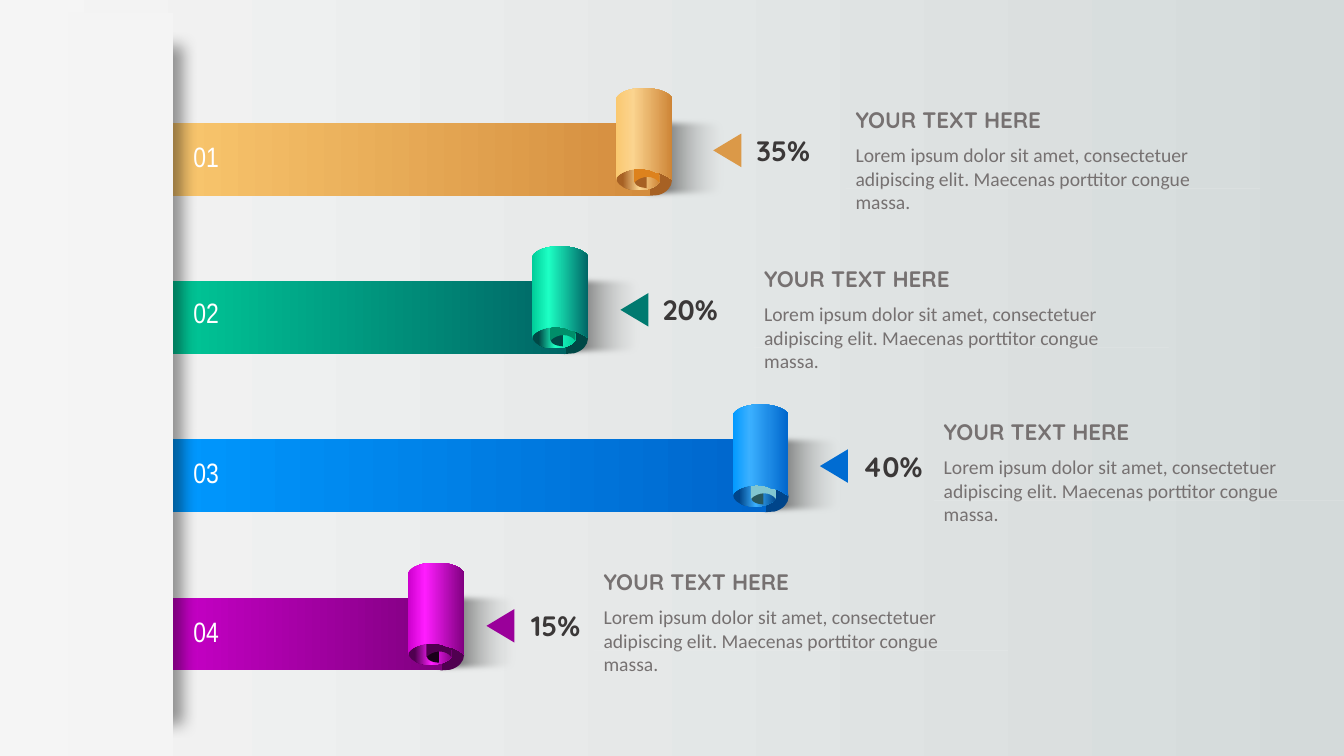
from dataclasses import dataclass

from lxml import etree
from pptx import Presentation
from pptx.dml.color import RGBColor
from pptx.enum import shapes, text
from pptx.oxml.ns import qn
from pptx.util import Pt

COLORS = {
    "back_light": "F5F5F5", "back_dark": "D4DADA", "panel": "F4F4F4",
    "white": "FFFFFF", "black": "000000", "shade": "E9EBEA",
    "percent": "3B3838", "copy": "767171", "rule": "F2F2F2",
}
BODY = ("Lorem ipsum dolor sit amet, consectetuer adipiscing elit. "
        "Maecenas porttitor congue massa.")
BAR_LEFT, ROLL_TOP, ROW_PITCH = 108.7, 62.9, 113

LIP = [(40, 66), (40, 70.5, 36, 75, 30, 76.5), (23, 77), (23, 54.5),
       (30, 55.5), (36, 57, 40, 61, 40, 66)]
CORE = [(13.5, 67), (13.5, 69, 16, 70.5, 18.5, 71), (22, 71.5), (22, 63),
        (18.5, 63.5), (16, 64, 13.5, 65.5, 13.5, 67)]
FOLD = [(13, 36.5), (14.5, 34, 18.25, 32.75, 22, 32.75),
        (25.75, 32.75, 29.5, 34, 31, 36.5), (31, 67.5),
        (29, 65, 26, 63.5, 22.5, 63.5), (19, 63.5, 15.5, 65, 13, 67.5)]
ROLL = [(20, 0), (28, 0, 36.5, 2, 40, 7), (40, 65.5),
        (37.5, 63.5, 34.5, 62, 31, 60.5), (28, 60), (24.5, 58.5),
        (22, 58, 20, 57.5, 17, 57.5), (9.5, 57.5, 2.5, 60.5, 0.5, 64),
        (0, 66), (0, 7), (3.5, 2, 11.5, 0, 20, 0)]


@dataclass
class Stop:
    position: int
    color: str
    alpha: int = 100


@dataclass
class Palette:
    light: str
    shine: str
    dark: str
    roll_dark: str
    lip: str
    core: str
    fold: str
    ellipse_end: str
    marker: str


@dataclass
class Row:
    number: str
    percent: str
    roll_left: float
    number_top: float
    marker: tuple[float, float]
    percent_left: float
    copy: tuple[float, float]
    palette: Palette


ROWS = [
    Row("01", "35%", 440, 96, (507.5, 97.4), 526, (604, 72.5),
        Palette("FAC86F", "FBD48F", "D48D3E", "CE8537", "A76124", "A76124",
                "DD821D", "CE8537", "DB9948")),
    Row("02", "20%", 380, 207.5, (441.2, 211.3), 459.5, (538.7, 186),
        Palette("00CC99", "1DFFC4", "006666", "006666", "004846", "004846",
                "008E69", "00CC99", "007A70")),
    Row("03", "40%", 523.3, 322, (583.7, 322.9), 604, (667, 295.2),
        Palette("0099FF", "3BB0FF", "0066CC", "0066CC", "00458A", "28585E",
                "81C6D1", "00458A", "006CD2")),
    Row("04", "15%", 291.5, 435.5, (345.5, 437), 363.5, (424, 402.5),
        Palette("CC00CC", "FF1DFF", "800080", "800080", "500050", "1A001A",
                "500050", "800080", "9A009A")),
]


def add_color(parent, color: str, alpha: int = 100) -> None:
    clr = etree.SubElement(parent, qn("a:srgbClr"), val=color)
    if alpha < 100:
        etree.SubElement(clr, qn("a:alpha"), val=str(alpha * 1000))


def set_gradient(fill, root, stops: list[Stop]) -> None:
    fill.gradient()
    fill.gradient_angle = 0
    gs_list = next(root.iter(qn("a:gsLst")))
    for gs in list(gs_list):
        gs_list.remove(gs)
    for stop in stops:
        gs = etree.SubElement(gs_list, qn("a:gs"), pos=str(stop.position * 1000))
        add_color(gs, stop.color, stop.alpha)


def finish(sp, paint: str | list[Stop]) -> None:
    sp.shadow.inherit = False
    sp.line.fill.background()
    if isinstance(paint, str):
        sp.fill.solid()
        sp.fill.fore_color.rgb = RGBColor.from_string(paint)
    else:
        set_gradient(sp.fill, sp.element, paint)


def add_preset(slide, kind, left: float, top: float, width: float,
               height: float, paint: str | list[Stop]):
    sp = slide.shapes.add_shape(kind, Pt(left), Pt(top), Pt(width), Pt(height))
    finish(sp, paint)
    return sp


def add_effect(sp, tag: str, **attributes: str):
    effects = next(sp.element.iter(qn("a:effectLst")))
    return etree.SubElement(effects, qn(tag), **attributes)


def add_outline(slide, outline: list[tuple], left: float, top: float,
                paint: str | list[Stop]) -> None:
    ends = [segment[-2:] for segment in outline]
    points = [(Pt(left + x), Pt(top + y)) for x, y in ends]
    builder = slide.shapes.build_freeform(*points[0])
    builder.add_line_segments(points[1:], close=True)
    sp = builder.convert_to_shape()
    min_x, min_y = (min(values) for values in zip(*ends))
    lines = list(sp.element.iter(qn("a:lnTo")))
    for line, segment in zip(lines, outline[1:]):
        if len(segment) == 6:
            curve = etree.Element(qn("a:cubicBezTo"))
            for x, y in zip(segment[::2], segment[1::2]):
                etree.SubElement(curve, qn("a:pt"), x=str(Pt(x - min_x)),
                                 y=str(Pt(y - min_y)))
            line.getparent().replace(line, curve)
    finish(sp, paint)


def add_text(slide, words: str, left: float, top: float, width: float,
             height: float, font: str, size: float, color: str,
             bold: bool = False, align=text.PP_ALIGN.LEFT) -> None:
    sp = slide.shapes.add_textbox(Pt(left), Pt(top), Pt(width), Pt(height))
    tf = sp.text_frame
    tf.word_wrap = True
    tf.auto_size = text.MSO_AUTO_SIZE.SHAPE_TO_FIT_TEXT
    p = tf.paragraphs[0]
    p.text = words
    p.alignment = align
    p.font.name, p.font.size, p.font.bold = font, Pt(size), bold
    p.font.color.rgb = RGBColor.from_string(color)


def add_ribbon(slide, row: Row, top: float) -> None:
    kinds, c, left = shapes.MSO_SHAPE, row.palette, row.roll_left
    shade = add_preset(slide, kinds.RECTANGLE, left + 15, top + 19, 67, 62,
                       [Stop(0, COLORS["black"]), Stop(100, COLORS["shade"], 0)])
    add_effect(shade, "a:softEdge", rad=str(Pt(5)))
    add_outline(slide, LIP, left, top, c.lip)
    add_preset(slide, kinds.RECTANGLE, BAR_LEFT, top + 25,
               left + 24 - BAR_LEFT, 52, [Stop(0, c.light), Stop(100, c.dark)])
    add_preset(slide, kinds.OVAL, left + 0.5, top + 57, 31, 16,
               [Stop(14, c.lip), Stop(52, c.shine), Stop(100, c.ellipse_end)])
    add_outline(slide, CORE, left, top, c.core)
    add_outline(slide, FOLD, left, top, c.fold)
    add_outline(slide, ROLL, left, top,
                [Stop(0, c.light), Stop(30, c.shine), Stop(100, c.roll_dark)])


def add_panel(slide) -> None:
    kind = shapes.MSO_SHAPE.RECTANGLE
    edge = add_preset(slide, kind, 83.5, 32.5, 39.5, 484, COLORS["panel"])
    shadow = add_effect(edge, "a:outerShdw", blurRad=str(Pt(11)),
                        dist=str(Pt(7)), dir="0", algn="l", rotWithShape="0")
    add_color(shadow, COLORS["black"], 40)
    add_preset(slide, kind, 49, 9.2, 74.6, 530.8, COLORS["panel"])


def add_labels(slide, row: Row) -> None:
    add_text(slide, row.number, 131, row.number_top, 40, 31.5,
             "Arial Narrow", 20, COLORS["white"])
    x, y = row.marker
    marker = add_preset(slide, shapes.MSO_SHAPE.ISOSCELES_TRIANGLE, x, y, 24, 20,
                        row.palette.marker)
    marker.rotation = 270
    add_text(slide, row.percent, row.percent_left, y - 5.7, 67, 31.5,
             "Quicksand", 20, COLORS["percent"], True, text.PP_ALIGN.CENTER)
    x, y = row.copy
    add_text(slide, "YOUR TEXT HERE", x, y, 253.5, 26.5, "Quicksand", 16,
             COLORS["copy"], True)
    add_text(slide, BODY, x, y + 26.2, 289.5, 58.5, "Calibri", 14, COLORS["copy"])
    rule = slide.shapes.add_connector(shapes.MSO_CONNECTOR.STRAIGHT, Pt(x),
                                      Pt(y + 62.4), Pt(x + 296), Pt(y + 62.4))
    rule.line.width = Pt(0.5)
    rule.line.color.rgb = RGBColor.from_string(COLORS["rule"])
    clr = next(rule.element.iter(qn("a:srgbClr")))
    etree.SubElement(clr, qn("a:alpha"), val="30000")
    etree.SubElement(rule.element.spPr, qn("a:effectLst"))


def main() -> None:
    prs = Presentation()
    prs.slide_width, prs.slide_height = Pt(960), Pt(540)
    slide = prs.slides.add_slide(prs.slide_layouts[6])
    set_gradient(slide.background.fill, slide.element,
                 [Stop(0, COLORS["back_light"]), Stop(100, COLORS["back_dark"])])
    for i, row in enumerate(ROWS):
        add_ribbon(slide, row, ROLL_TOP + i * ROW_PITCH)
    add_panel(slide)
    for row in ROWS:
        add_labels(slide, row)
    prs.save("out.pptx")


if __name__ == "__main__":
    main()
